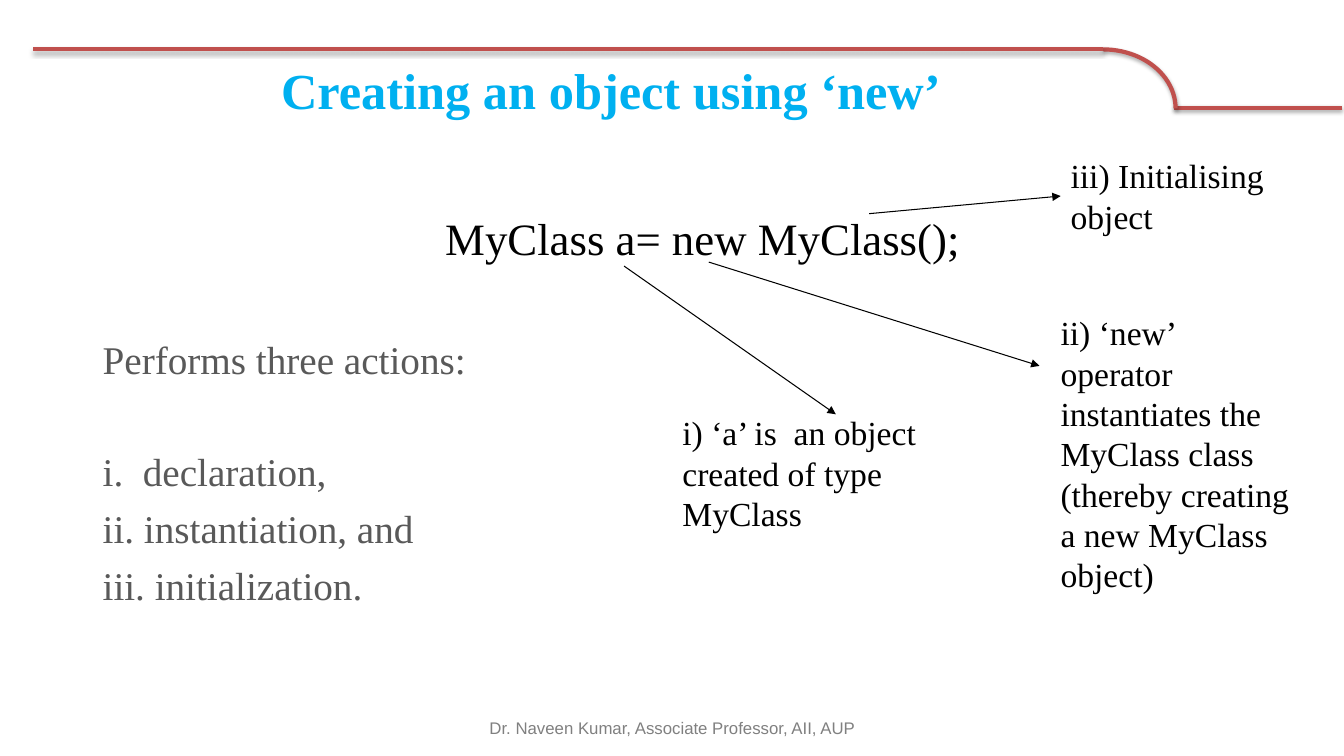
from lxml import etree
from pptx import Presentation
from pptx import util as u
from pptx.dml.color import RGBColor
from pptx.enum import shapes, text
from pptx.oxml import parse_xml
from pptx.oxml.ns import nsdecls, qn

RED = RGBColor(0xC0, 0x50, 0x4D)
CYAN = RGBColor(0x00, 0xB0, 0xF0)
BLACK = RGBColor(0x00, 0x00, 0x00)
DARK_GRAY = RGBColor(0x59, 0x59, 0x59)
GRAY = RGBColor(0x80, 0x80, 0x80)
SERIF = "Times New Roman"
SHADOW = (
    f'<a:effectLst {nsdecls("a")}>'
    '<a:outerShdw blurRad="39370" dist="22860" dir="5400000" rotWithShape="0">'
    '<a:srgbClr val="000000"><a:alpha val="35000"/></a:srgbClr>'
    '</a:outerShdw></a:effectLst>'
)

presentation = Presentation()
presentation.slide_width = u.Inches(13.33)
presentation.slide_height = u.Inches(7.5)
slide = presentation.slides.add_slide(presentation.slide_layouts[6])


def add_line(start, end, color, width):
    line = slide.shapes.add_connector(
        shapes.MSO_CONNECTOR.STRAIGHT, *[u.Inches(value) for value in start + end])
    line.line.color.rgb = color
    line.line.width = u.Pt(width)
    return line


def add_text(box, lines, size, color, font=SERIF, align=text.PP_ALIGN.LEFT,
             anchor=text.MSO_ANCHOR.TOP):
    shape = slide.shapes.add_textbox(*[u.Inches(value) for value in box])
    frame = shape.text_frame
    frame.word_wrap = True
    frame.vertical_anchor = anchor
    frame.text = "\n".join(lines)
    for paragraph in frame.paragraphs:
        paragraph.alignment = align
        run_font = paragraph.runs[0].font
        run_font.name = font
        run_font.size = u.Pt(size)
        run_font.color.rgb = color
    return shape


right_rule = add_line((11.64, 1.07), (13.31, 1.07), RED, 3)
corner = slide.shapes.add_shape(
    shapes.MSO_SHAPE.ARC, u.Inches(10.22), u.Inches(0.49), u.Inches(1.44), u.Inches(1.17))
corner.fill.background()
corner.line.color.rgb = RED
corner.line.width = u.Pt(3)
top_rule = add_line((10.94, 0.49), (0.33, 0.49), RED, 3)
for part in (right_rule, corner, top_rule):
    part._element.spPr.append(parse_xml(SHADOW))

title = add_text((0.67, 0.53, 10.78, 0.72), ["Creating an object using ‘new’"], 36, CYAN,
                 align=text.PP_ALIGN.CENTER, anchor=text.MSO_ANCHOR.MIDDLE)
title.text_frame.paragraphs[0].runs[0].font.bold = True

body = add_text((0.92, 2.04, 12.1, 4.72),
                ["MyClass a= new MyClass();", "Performs three actions:",
                 "i.  declaration,", "ii. instantiation, and", "iii. initialization."],
                28, DARK_GRAY)
statement, *actions = body.text_frame.paragraphs
statement.alignment = text.PP_ALIGN.CENTER
statement.runs[0].font.size = u.Pt(32)
statement.runs[0].font.color.rgb = BLACK
for paragraph, gap in zip(actions, (50.5, 46.5, 7, 7)):
    paragraph.space_before = u.Pt(gap)

declaration = add_text((6.67, 4.04, 3.24, 1.31),
                       ["i) ‘a’ is  an object created of type MyClass"], 24, BLACK)
instantiation = add_text(
    (10.42, 3.05, 2.49, 2.93),
    ["ii) ‘new’ operator instantiates the MyClass class "
     "(thereby creating a new MyClass object)"], 24, BLACK)
initialization = add_text((10.52, 1.49, 2.2, 0.91), ["iii) Initialising object"], 24, BLACK)

arrows = [
    add_line(start, end, BLACK, 0.75)
    for start, end in (((6.19, 2.64), (8.29, 4.11)),
                       ((7.03, 2.6), (10.31, 3.63)),
                       ((8.62, 2.12), (10.52, 1.95)))
]
arrows[2].end_connect(initialization, 1)
for arrow in arrows:
    etree.SubElement(arrow.line._get_or_add_ln(), qn("a:tailEnd"), type="triangle")
    etree.SubElement(arrow._element.spPr, qn("a:effectLst"))

add_text((4.56, 7.02, 4.22, 0.4), ["Dr. Naveen Kumar, Associate Professor, AII, AUP"],
         12, GRAY, "Arial", text.PP_ALIGN.CENTER, text.MSO_ANCHOR.MIDDLE)

presentation.save("out.pptx")
